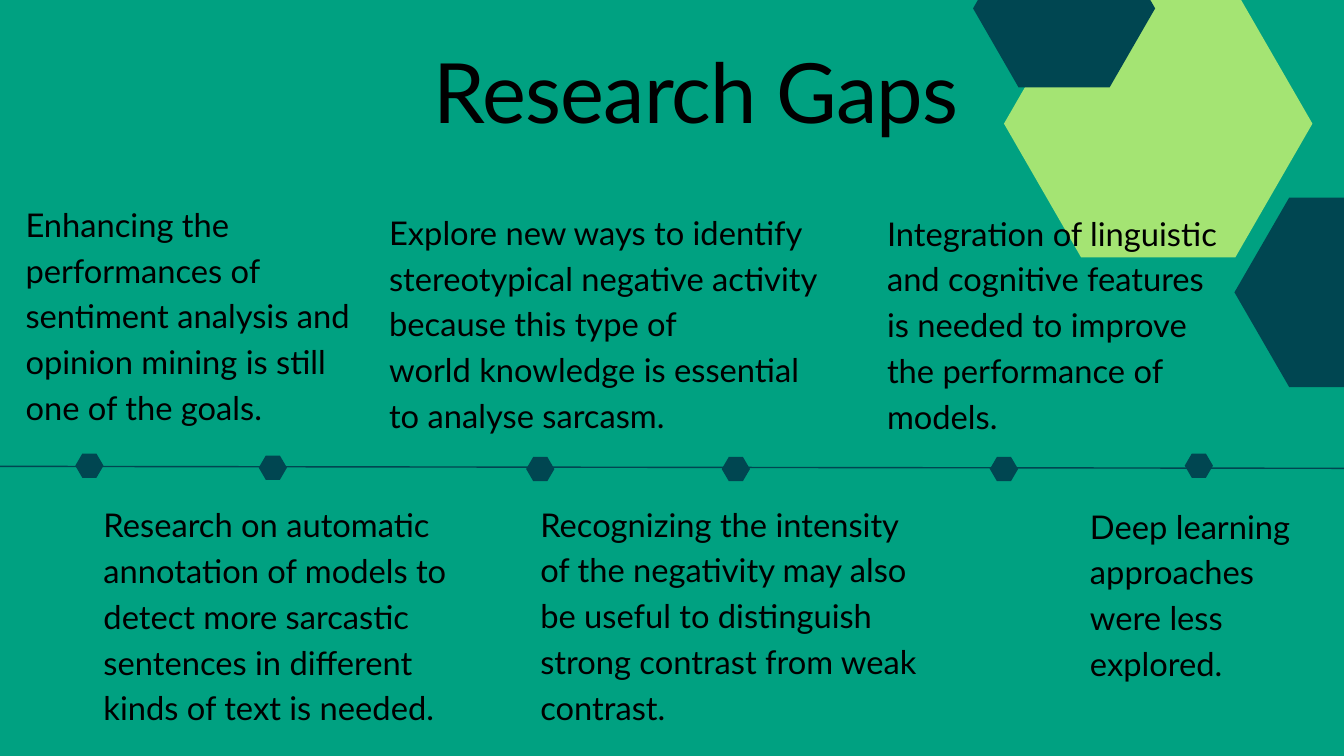
from lxml.etree import SubElement
from pptx import Presentation
from pptx.dml.color import RGBColor
from pptx.enum.shapes import MSO_CONNECTOR
from pptx.enum.text import PP_ALIGN
from pptx.oxml.ns import qn
from pptx.util import Inches, Pt

TEAL = RGBColor(0x00, 0xA1, 0x81)
NAVY = RGBColor(0x00, 0x46, 0x51)
LIME = RGBColor(0xA4, 0xE4, 0x73)
BLACK = RGBColor(0, 0, 0)
FONT = "Lato"

# Each gap: left, top, width, height, paragraphs
GAPS = [
    (0.38, 2.95, 5, 3.37, [
        "Enhancing the performances of sentiment analysis and opinion "
        "mining is still one of the goals."]),
    (5.79, 3.07, 6.41, 3.37, [
        "Explore new ways to identify stereotypical negative activity "
        "because this type of",
        "world knowledge is essential to analyse sarcasm."]),
    (13.2, 3.08, 5.17, 3.36, [
        "Integration of linguistic and cognitive features is needed to "
        "improve the performance of models."]),
    (1.54, 7.42, 5.46, 3.36, [
        "Research on automatic annotation of models to detect more "
        "sarcastic sentences in different kinds of text is needed."]),
    (8.04, 7.41, 5.82, 3.37, [
        "Recognizing the intensity of the negativity may also be useful "
        "to distinguish",
        "strong contrast from weak contrast."]),
    (16.22, 7.44, 3.31, 2.68, [
        "Deep learning approaches were less explored."]),
]

# Left and top of each marker on the timeline
MARKS = [(1.12, 6.75), (3.85, 6.78), (7.83, 6.8),
         (10.74, 6.8), (14.73, 6.8), (17.63, 6.75)]


def add_hex(slide, left, top, width, height, color):
    """Flat-topped hexagon with corners at the quarter points of its box."""
    ratios = [(1, 0.5), (0.75, 1), (0.25, 1), (0, 0.5), (0.25, 0), (0.75, 0)]
    points = [(Inches(left + width * x), Inches(top + height * y))
              for x, y in ratios]
    outline = slide.shapes.build_freeform(*points[0])
    outline.add_line_segments(points[1:], close=True)
    shape = outline.convert_to_shape()
    shape.shadow.inherit = False
    shape.fill.solid()
    shape.fill.fore_color.rgb = color
    shape.line.fill.background()


def add_text(slide, left, top, width, height, lines, size=35, pitch=49,
             align=PP_ALIGN.LEFT, track=None):
    box = slide.shapes.add_textbox(
        Inches(left), Inches(top), Inches(width), Inches(height))
    frame = box.text_frame
    frame.word_wrap = True
    frame.margin_left = frame.margin_right = 0
    frame.margin_top = frame.margin_bottom = 0
    for i, line in enumerate(lines):
        para = frame.add_paragraph() if i else frame.paragraphs[0]
        para.alignment = align
        para.line_spacing = Pt(pitch)
        run = para.add_run()
        run.text = line
        run.font.name = FONT
        run.font.size = Pt(size)
        run.font.color.rgb = BLACK
        if track is not None:
            run._r.get_or_add_rPr().set("spc", str(track))


def add_decor(slide):
    """Large hexagons in the top right corner."""
    add_hex(slide, 18.37, 2.94, 3.26, 2.82, NAVY)
    add_hex(slide, 14.94, -0.15, 4.59, 3.98, LIME)
    add_hex(slide, 14.48, -1.05, 2.71, 2.35, NAVY)


def add_timeline(slide, left, top, width, drop):
    line = slide.shapes.add_connector(
        MSO_CONNECTOR.STRAIGHT, Inches(left), Inches(top),
        Inches(left + width), Inches(top + drop))
    line.line.color.rgb = NAVY
    line.line.width = Pt(1.5)
    SubElement(line._element.spPr, qn("a:effectLst"))
    for x, y in MARKS:
        add_hex(slide, x, y, 0.42, 0.36, NAVY)


def main():
    deck = Presentation()
    deck.slide_width, deck.slide_height = Inches(20), Inches(11.25)
    slide = deck.slides.add_slide(deck.slide_layouts[6])
    slide.background.fill.solid()
    slide.background.fill.fore_color.rgb = TEAL

    add_decor(slide)
    # Title
    add_text(slide, 3.68, 0.6, 13.36, 1.48, ["Research Gaps"], size=89,
             pitch=106.8, align=PP_ALIGN.CENTER, track=-90)
    add_timeline(slide, 0, 6.94, 20.46, 0.03)
    # Research gaps above and below the timeline
    for gap in GAPS:
        add_text(slide, *gap)

    deck.save("out.pptx")


if __name__ == "__main__":
    main()
